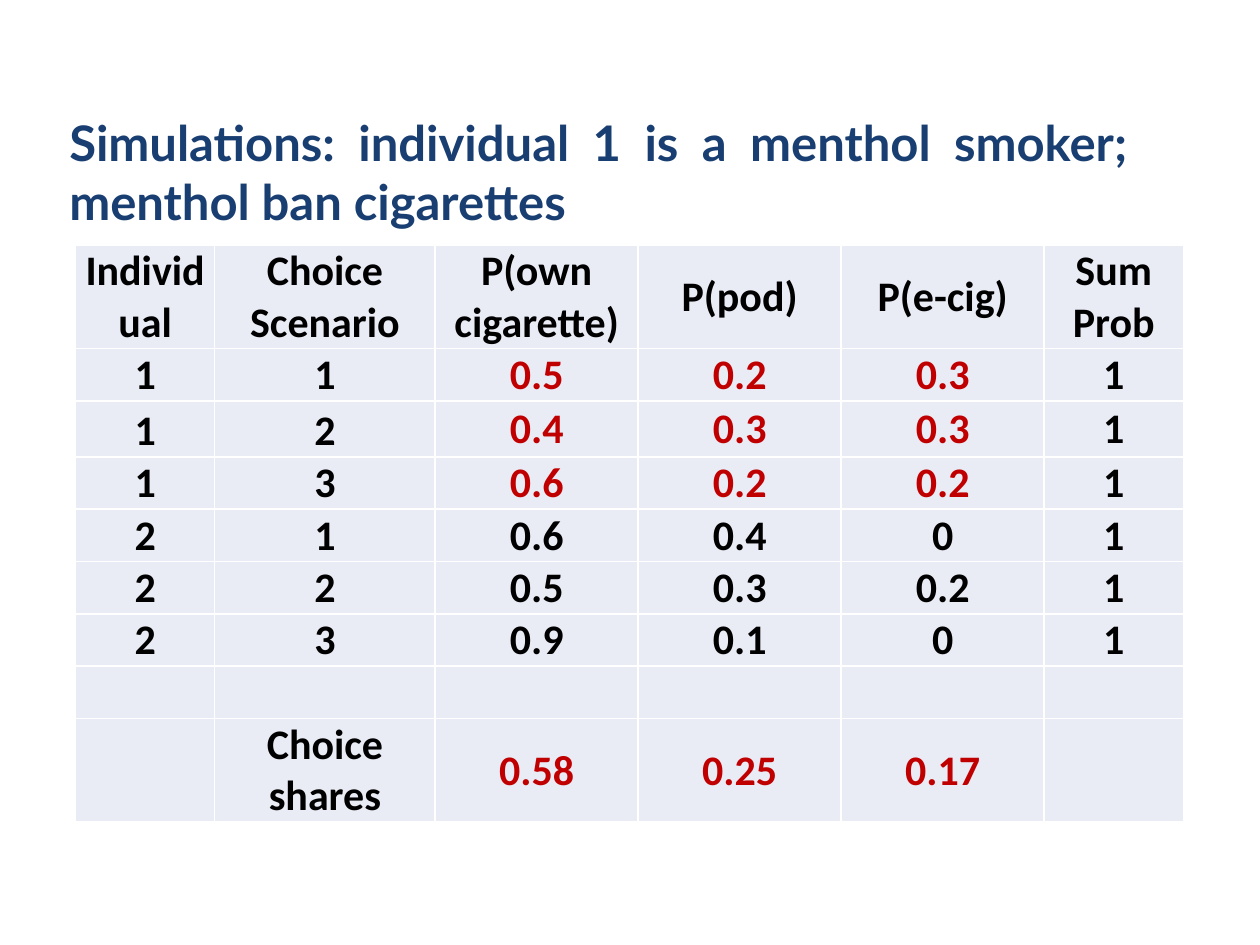
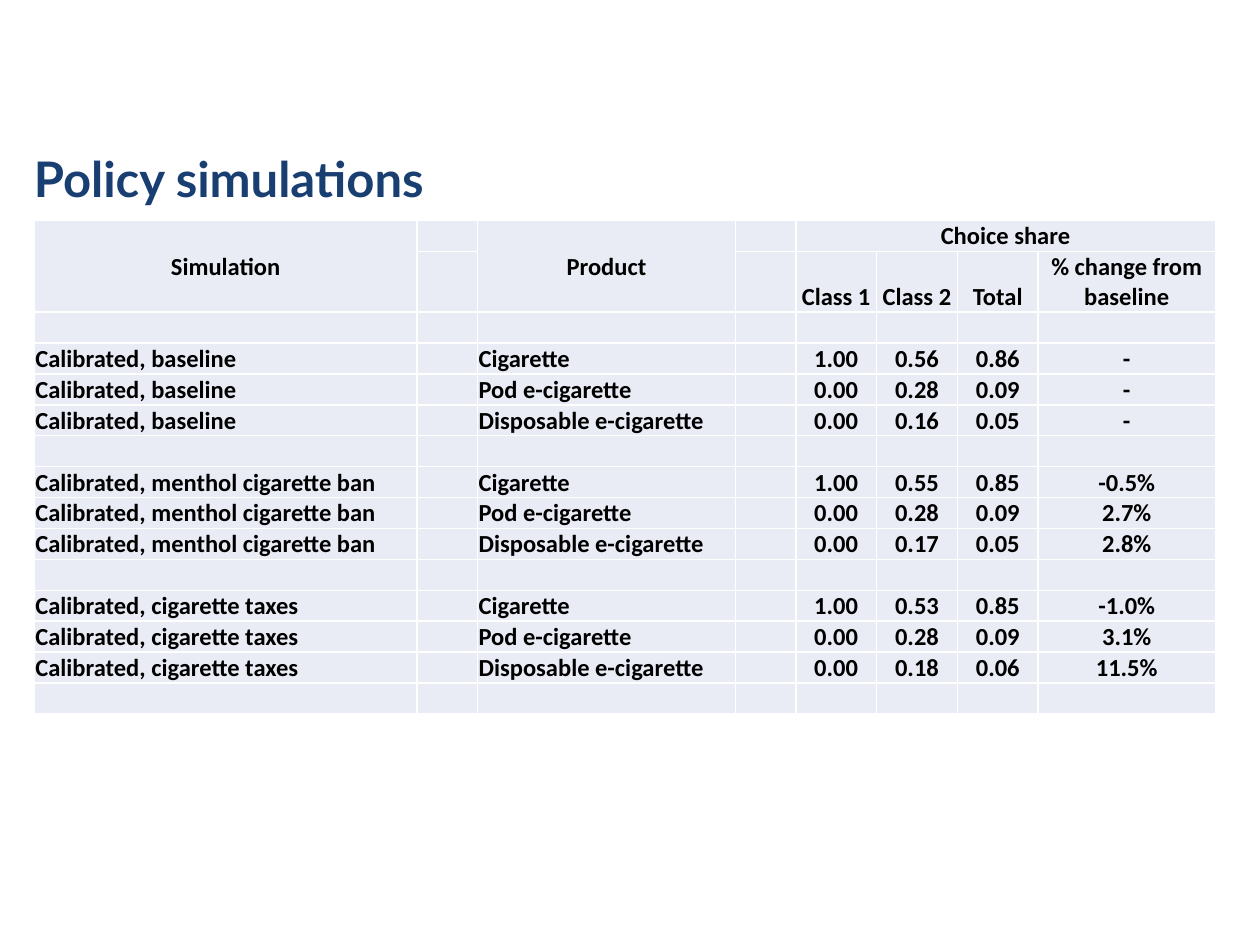
from lxml.etree import SubElement
from pptx import Presentation
from pptx.dml.color import RGBColor
from pptx.enum.text import MSO_ANCHOR, MSO_AUTO_SIZE, PP_ALIGN
from pptx.oxml.ns import qn
from pptx.util import Pt

NAVY = RGBColor(0x19, 0x3E, 0x72)
BLACK = RGBColor(0, 0, 0)
RED = RGBColor(0xC0, 0, 0)
WHITE = RGBColor(0xFF, 0xFF, 0xFF)
PALE = RGBColor(0xE9, 0xEB, 0xF5)

PROBABILITIES = [
    ["Individual", "Choice Scenario", "P(own cigarette)", "P(pod)", "P(e-cig)", "Sum Prob"],
    ["1", "1", "0.5", "0.2", "0.3", "1"],
    ["1", "2", "0.4", "0.3", "0.3", "1"],
    ["1", "3", "0.6", "0.2", "0.2", "1"],
    ["2", "1", "0.6", "0.4", "0", "1"],
    ["2", "2", "0.5", "0.3", "0.2", "1"],
    ["2", "3", "0.9", "0.1", "0", "1"],
    [""] * 6,
    ["", "Choice shares", "0.58", "0.25", "0.17", ""],
]
PRODUCTS = ["Cigarette", "Pod e-cigarette", "Disposable e-cigarette"]
SHARES = {
    "Calibrated, baseline": [
        ["1.00", "0.56", "0.86", "-"],
        ["0.00", "0.28", "0.09", "-"],
        ["0.00", "0.16", "0.05", "-"],
    ],
    "Calibrated, menthol cigarette ban": [
        ["1.00", "0.55", "0.85", "-0.5%"],
        ["0.00", "0.28", "0.09", "2.7%"],
        ["0.00", "0.17", "0.05", "2.8%"],
    ],
    "Calibrated, cigarette taxes": [
        ["1.00", "0.53", "0.85", "-1.0%"],
        ["0.00", "0.28", "0.09", "3.1%"],
        ["0.00", "0.18", "0.06", "11.5%"],
    ],
}


def add_title(s, box, text):
    sp = s.shapes.title
    sp.left, sp.top, sp.width, sp.height = [Pt(v) for v in box]
    tf = sp.text_frame
    tf.text = text
    tf.word_wrap = True
    tf.auto_size = MSO_AUTO_SIZE.NONE
    tf.vertical_anchor = MSO_ANCHOR.TOP
    p = tf.paragraphs[0]
    p.alignment = PP_ALIGN.JUSTIFY
    set_font(p.runs[0], "Lato", 28, NAVY)


def set_font(r, name, size, color):
    r.font.name, r.font.size, r.font.bold = name, Pt(size), True
    r.font.color.rgb = color


def set_borders(cell):
    tc_pr = cell._tc.get_or_add_tcPr()
    for i, side in enumerate(("lnL", "lnR", "lnT", "lnB")):
        ln = SubElement(tc_pr, qn(f"a:{side}"), w=str(Pt(1)))
        fill = SubElement(ln, qn("a:solidFill"))
        SubElement(fill, qn("a:srgbClr"), val=str(WHITE))
        tc_pr.insert(i, ln)


def fill_cell(cell, text, size, align, anchor, color):
    cell.fill.solid()
    cell.fill.fore_color.rgb = PALE
    set_borders(cell)
    cell.margin_left = cell.margin_right = cell.margin_top = Pt(0.6)
    cell.margin_bottom = 0
    cell.vertical_anchor = anchor
    p = cell.text_frame.paragraphs[0]
    p.alignment = align
    if text:
        p.text = text
        set_font(p.runs[0], "Calibri", size, color)
    else:
        SubElement(p._p, qn("a:endParaRPr"), sz=str(size * 100))


def add_grid(s, left, top, widths, heights, rows, size, style):
    table = s.shapes.add_table(len(rows), len(widths), Pt(left), Pt(top),
                               Pt(sum(widths)), Pt(sum(heights))).table
    table.first_row = table.horz_banding = False
    for col, width in zip(table.columns, widths):
        col.width = Pt(width)
    for row, height in zip(table.rows, heights):
        row.height = Pt(height)
    for i, values in enumerate(rows):
        for j, text in enumerate(values):
            fill_cell(table.cell(i, j), text, size, *style(i, j))
    return table


def probability_style(i, j):
    anchor = MSO_ANCHOR.BOTTOM if j < 2 else MSO_ANCHOR.MIDDLE
    red = i in (1, 2, 3, 8) and 2 <= j <= 4
    return PP_ALIGN.CENTER, anchor, RED if red else BLACK


def share_style(i, j):
    names = j in (0, 2)
    align = PP_ALIGN.LEFT if names and i > 1 else PP_ALIGN.CENTER
    anchor = MSO_ANCHOR.MIDDLE if names and i == 0 else MSO_ANCHOR.BOTTOM
    return align, anchor, BLACK


def add_probability_slide(prs):
    s = prs.slides.add_slide(prs.slide_layouts[5])
    add_title(s, (32.4, 60.5, 619, 220),
              "Simulations: individual 1 is a menthol smoker; menthol ban cigarettes")
    widths = [79.5, 126, 116, 116, 116, 79.5]
    heights = [57.6, 29.4, 32] + [29.4] * 5 + [58]
    add_grid(s, 43.2, 140, widths, heights, PROBABILITIES, 24, probability_style)


def add_share_slide(prs):
    s = prs.slides.add_slide(prs.slide_layouts[5])
    add_title(s, (12.2, 81.4, 657, 41), "Policy simulations")
    rows = [
        ["Simulation", "", "Product", "", "Choice share", "", "", ""],
        ["", "", "", "", "Class 1", "Class 2", "Total", "% change from baseline"],
        [""] * 8,
    ]
    for simulation, values in SHARES.items():
        rows += [[simulation, "", product, "", *shares]
                 for product, shares in zip(PRODUCTS, values)]
        rows.append([""] * 8)
    widths = [218.8, 34.5, 147.4, 34.5, 46.2, 46.2, 46.2, 101.2]
    heights = [17.28, 34.5] + [17.28] * (len(rows) - 2)
    table = add_grid(s, 19.6, 126, widths, heights, rows, 14, share_style)
    for j in (0, 2):
        table.cell(0, j).merge(table.cell(1, j))
    table.cell(0, 4).merge(table.cell(0, 7))


def main():
    prs = Presentation()
    prs.slide_width, prs.slide_height = Pt(720), Pt(540)
    add_probability_slide(prs)
    add_share_slide(prs)
    prs.save("out.pptx")


if __name__ == "__main__":
    main()
